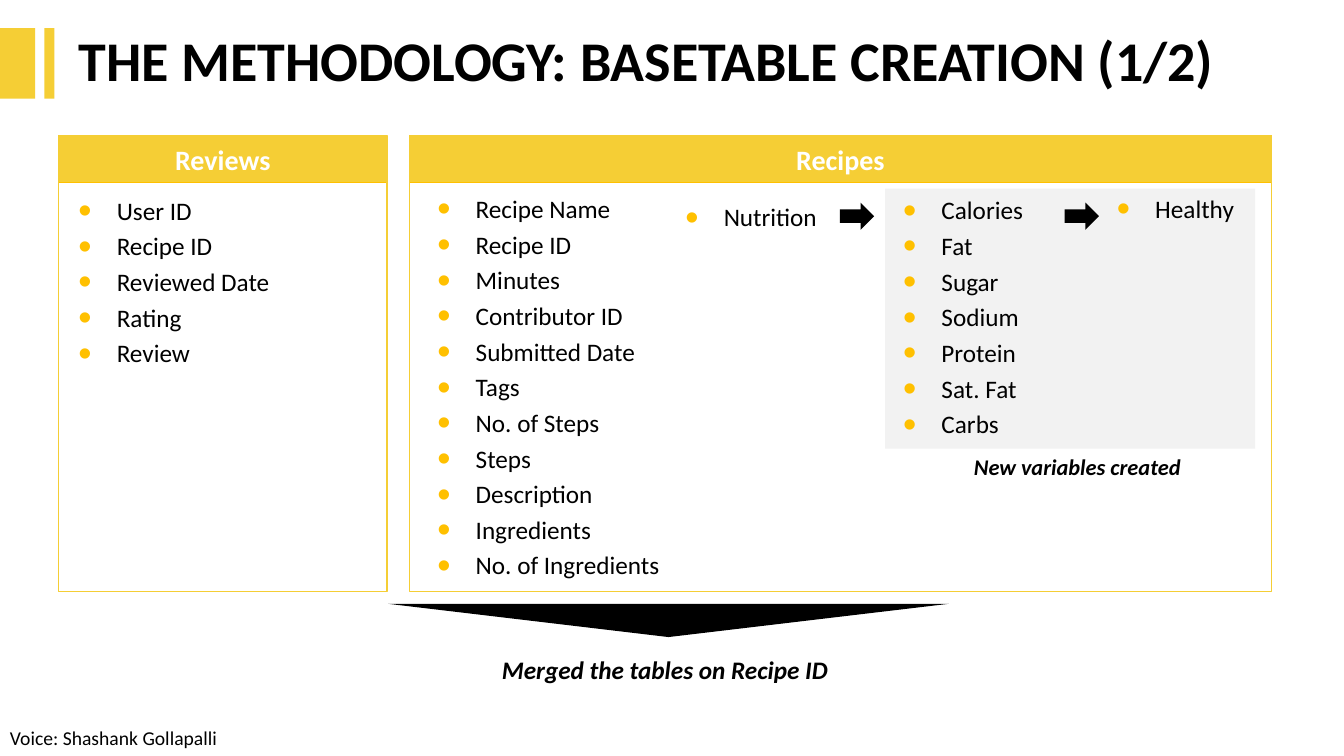
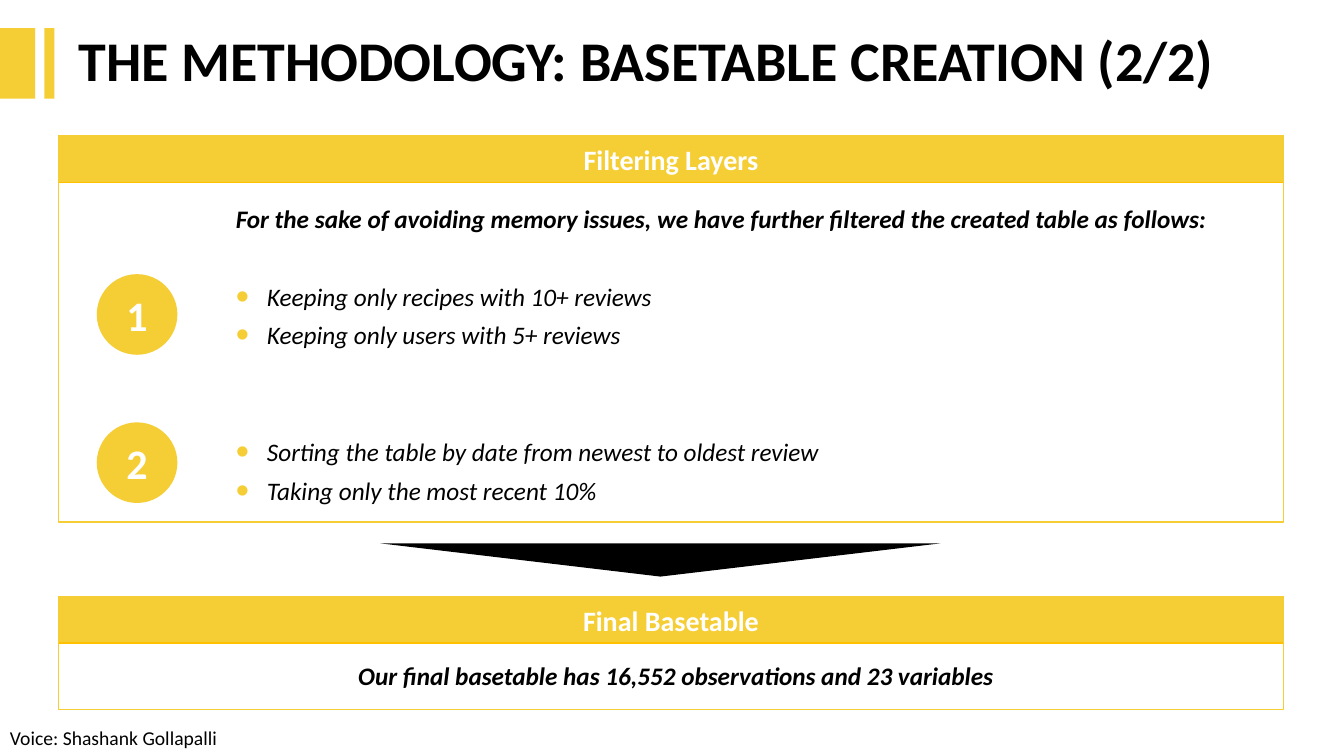
from lxml import etree
from pptx import Presentation
from pptx.dml.color import RGBColor
from pptx.enum.shapes import MSO_SHAPE as Shape
from pptx.enum.text import MSO_ANCHOR as Anchor, PP_ALIGN as Align
from pptx.oxml.ns import qn
from pptx.util import Inches, Pt

YELLOW, AMBER, GREY = "F5CE35", "FFC000", "F2F2F2"
BLACK, WHITE = "000000", "FFFFFF"


def add_box(slide, box, text="", kind=None, fill=None, line=None, size=18, color=BLACK,
            bold=False, italic=False, align=Align.LEFT, anchor=Anchor.MIDDLE,
            spacing=None, after=None):
    """Add a preset shape, or a text box when kind is None; return its paragraphs."""
    frame = [Inches(length) for length in box]
    if kind is None:
        shape = slide.shapes.add_textbox(*frame)
    else:
        shape = slide.shapes.add_shape(kind, *frame)
        shape.shadow.inherit = False
        if fill:
            shape.fill.solid()
            shape.fill.fore_color.rgb = RGBColor.from_string(fill)
        else:
            shape.fill.background()
        if line:
            shape.line.color.rgb = RGBColor.from_string(line)
            shape.line.width = Pt(1)
        else:
            shape.line.fill.background()
    if not text:
        return shape
    body = shape.text_frame
    body.word_wrap = True
    body.vertical_anchor = anchor
    body.text = text
    for paragraph in body.paragraphs:
        paragraph.alignment = align
        paragraph.line_spacing = spacing
        if after:
            paragraph.space_after = Pt(after)
        for run in paragraph.runs:
            font = run.font
            font.name, font.size, font.bold, font.italic = "Calibri", Pt(size), bold, italic
            font.color.rgb = RGBColor.from_string(color)
    return shape


def add_bullets(paragraphs, color, indent):
    for paragraph in paragraphs:
        props = paragraph._p.get_or_add_pPr()
        props.set("marL", str(Inches(indent)))
        props.set("indent", str(-Inches(indent)))
        bullet_color = etree.SubElement(props, qn("a:buClr"))
        etree.SubElement(bullet_color, qn("a:srgbClr"), val=color)
        etree.SubElement(props, qn("a:buSzPct"), val="150000")
        etree.SubElement(props, qn("a:buFont"), typeface="Arial")
        etree.SubElement(props, qn("a:buChar"), char="•")


prs = Presentation()
prs.slide_width, prs.slide_height = Inches(13.33), Inches(7.5)

# Title, side bars, arrow between stages and footer, shared by both slides
slides = []
for number, arrow_left, arrow_top in [(1, 3.85, 5.99), (2, 3.77, 5.39)]:
    slide = prs.slides.add_slide(prs.slide_layouts[6])
    add_box(slide, (0.68, 0.28, 12.04, 0.7), f"THE METHODOLOGY: BASETABLE CREATION ({number}/2)",
            size=40, bold=True, spacing=0.9, after=6)
    for left, width in [(0, 0.35), (0.44, 0.1)]:
        add_box(slide, (left, 0.28, width, 0.7), kind=Shape.RECTANGLE, fill=YELLOW)
    merge_arrow = add_box(slide, (arrow_left, arrow_top, 5.56, 0.33),
                          kind=Shape.ISOSCELES_TRIANGLE, fill=BLACK)
    merge_arrow.rotation = 180
    add_box(slide, (0, 7.15, 3.03, 0.34), "Voice: Shashank Gollapalli", size=14,
            anchor=Anchor.TOP)
    slides.append(slide)
tables_slide, filters_slide = slides

# Framed panels with a header band
panels = [
    (tables_slide, "Reviews", 0.58, 1.35, 3.26, 4.52),
    (tables_slide, "Recipes", 4.06, 1.35, 8.55, 4.52),
    (filters_slide, "Filtering Layers", 0.58, 1.35, 12.15, 3.83),
    (filters_slide, "Final Basetable", 0.58, 5.92, 12.15, 1.12),
]
for slide, heading, left, top, width, height in panels:
    add_box(slide, (left, top, width, 0.46), heading, kind=Shape.RECTANGLE, fill=YELLOW,
            line=AMBER, size=20, color=WHITE, bold=True, align=Align.CENTER)
    add_box(slide, (left, top, width, height), kind=Shape.RECTANGLE, line=YELLOW)

# Slide 1: columns of the two tables
add_box(tables_slide, (8.78, 1.87, 3.67, 2.58), kind=Shape.RECTANGLE, fill=GREY)
columns = [
    (0.68, 2.98, 1.88, ["User ID", "Recipe ID", "Reviewed Date", "Rating", "Review"]),
    (4.24, 2.63, 3.97, ["Recipe Name", "Recipe ID", "Minutes", "Contributor ID",
                        "Submitted Date", "Tags", "No. of Steps", "Steps", "Description",
                        "Ingredients", "No. of Ingredients"]),
    (6.7, 1.89, 0.6, ["Nutrition"]),
    (8.86, 2.03, 2.58, ["Calories", "Fat", "Sugar", "Sodium", "Protein", "Sat. Fat", "Carbs"]),
    (10.98, 1.47, 0.43, ["Healthy"]),
]
for left, width, height, fields in columns:
    field_list = add_box(tables_slide, (left, 1.87, width, height), "\n".join(fields),
                         spacing=0.9, after=6)
    add_bullets(field_list.text_frame.paragraphs, AMBER, 0.38)
for left in (8.33, 10.56):
    add_box(tables_slide, (left, 2.01, 0.34, 0.27), kind=Shape.RIGHT_ARROW, fill=BLACK)

# Slide 2: filtering steps
for step, top in [("1", 2.72), ("2", 4.19)]:
    add_box(filters_slide, (0.96, top, 0.8, 0.8), step, kind=Shape.OVAL, fill=YELLOW,
            size=30, color=WHITE, bold=True, align=Align.CENTER)
filters = add_box(filters_slide, (2.24, 1.96, 10.3, 3.11), "\n".join([
    "For the sake of avoiding memory issues, we have further filtered the created table as follows:",
    "Keeping only recipes with 10+ reviews",
    "Keeping only users with 5+ reviews",
    "Sorting the table by date from newest to oldest review",
    "Taking only the most recent 10%",
]), italic=True, after=6)
intro, *rules = filters.text_frame.paragraphs
intro.runs[0].font.bold = True
rules[0].space_before = Pt(28)
rules[2].space_before = Pt(56)
add_bullets(rules, YELLOW, 0.31)

# Captions
captions = [
    (tables_slide, (4.69, 6.44, 3.81, 0.4), 18, "Merged the tables on Recipe ID"),
    (tables_slide, (8.78, 4.45, 3.81, 0.37), 16, "New variables created"),
    (filters_slide, (0.89, 6.5, 11.63, 0.4), 18,
     "Our final basetable has 16,552 observations and 23 variables"),
]
for slide, box, size, caption in captions:
    add_box(slide, box, caption, size=size, bold=True, italic=True, align=Align.CENTER,
            anchor=Anchor.TOP)

prs.save("out.pptx")
